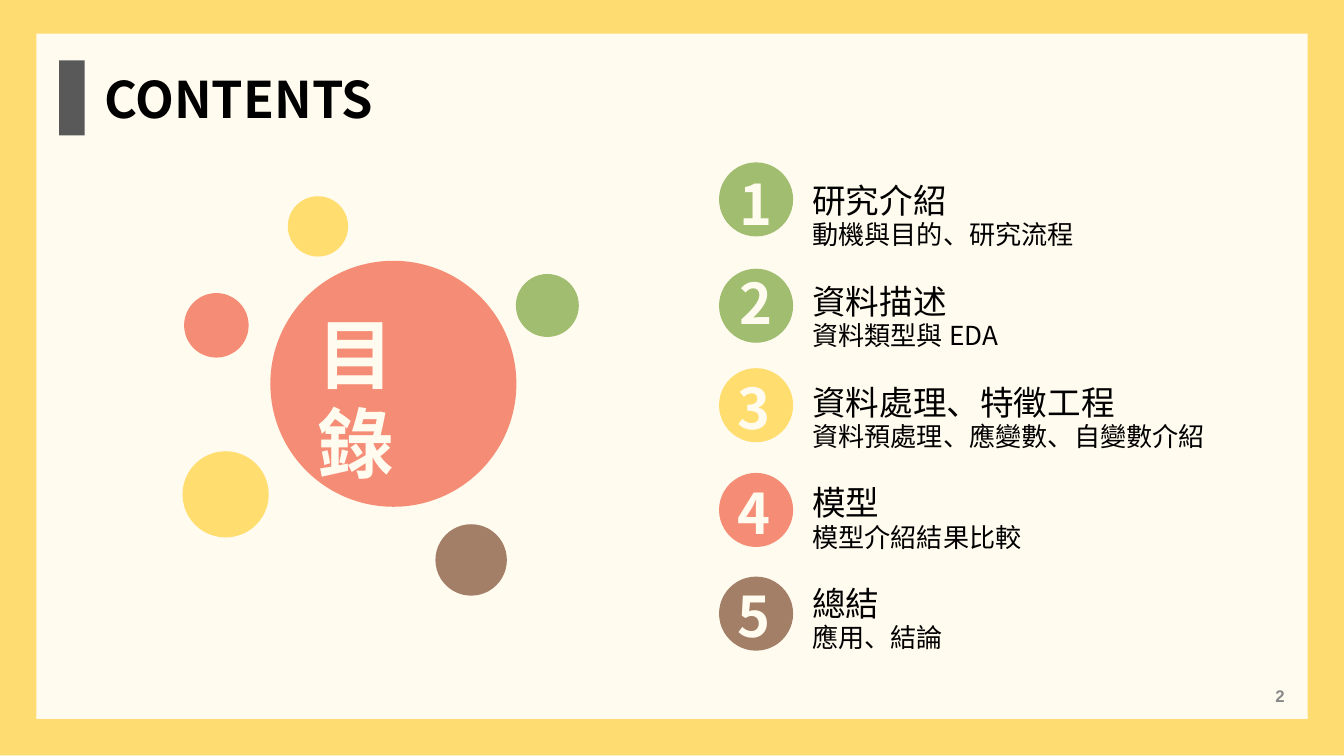
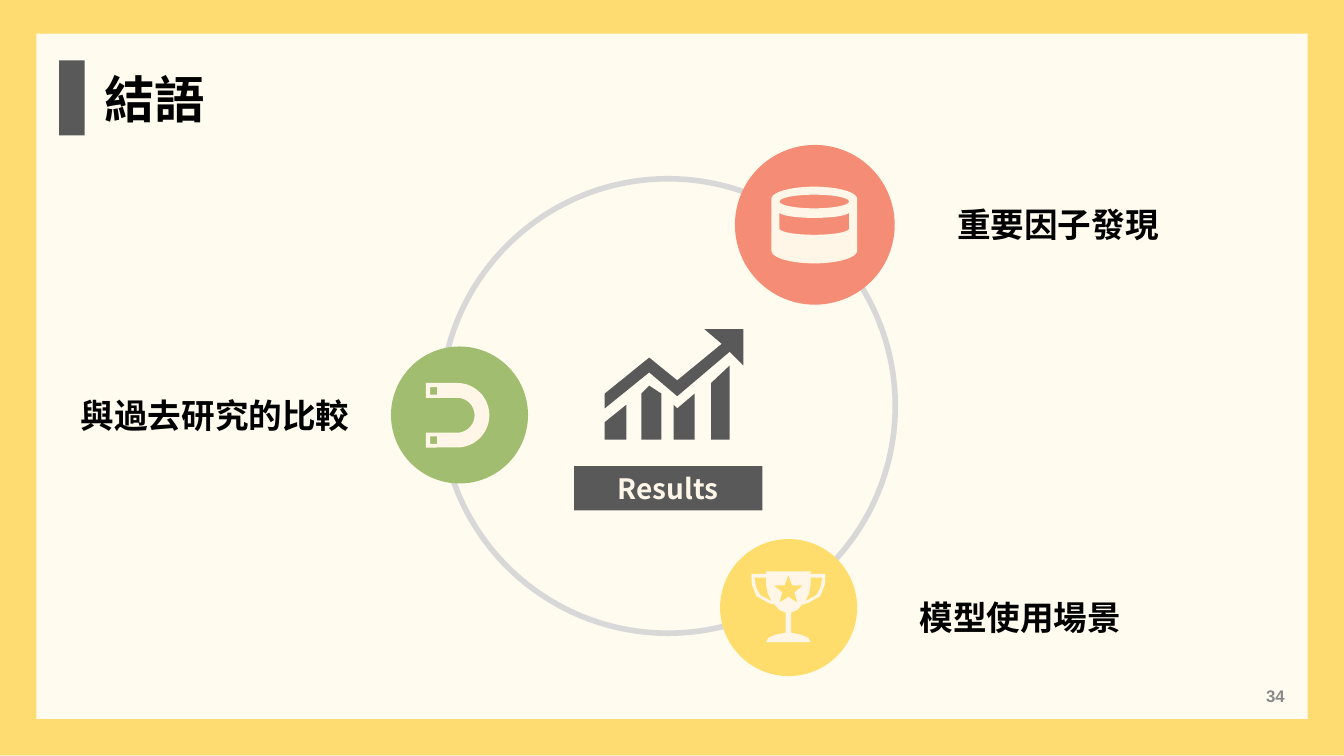
from math import cos, radians, sin

from lxml.etree import SubElement
from pptx import Presentation
from pptx.dml.color import RGBColor
from pptx.enum.shapes import MSO_SHAPE
from pptx.enum.text import MSO_ANCHOR, MSO_AUTO_SIZE, PP_ALIGN
from pptx.oxml.ns import qn
from pptx.util import Cm, Pt

CREAM, PALE, DARK, BLACK = "FFFBEF", "FFF6E7", "595959", "000000"
GREEN, YELLOW, RED, BROWN = "A1BD70", "FFDE6F", "F58D76", "A37F67"
SANS = "Noto Sans CJK SC"


def color(code):
    return RGBColor.from_string(code)


def assign(target, values):
    for name, value in values.items():
        setattr(target, name, value)


def arc(x, y, wide, high, start, end):
    steps = 24
    turns = [radians(start + (end - start) * i / steps) for i in range(steps + 1)]
    return [(x + wide * cos(t), y + high * sin(t)) for t in turns]


def box(x, y, wide, high):
    return [(x, y), (x + wide, y), (x + wide, y + high), (x, y + high)]


def star(x, y, outer, inner):
    rays = [(inner if i % 2 else outer, radians(36 * i - 90)) for i in range(10)]
    return [(x + r * cos(t), y + r * sin(t)) for r, t in rays]


def mirror(points, axis):
    return [(2 * axis - x, y) for x, y in reversed(points)]


class Deck:
    frame = {
        "word_wrap": True, "auto_size": MSO_AUTO_SIZE.NONE,
        "margin_left": Cm(0.19), "margin_right": Cm(0.19),
        "margin_top": Cm(0.1), "margin_bottom": Cm(0.1),
    }

    def __init__(self):
        self.show = Presentation()
        assign(self.show, {"slide_width": Cm(25.4), "slide_height": Cm(14.29)})
        fill = self.show.slide_master.background.fill
        fill.solid()
        fill.fore_color.rgb = color(CREAM)

    def start(self, layout, title, width):
        self.slide = self.show.slides.add_slide(self.show.slide_layouts[layout])
        self.shape(MSO_SHAPE.RECTANGLE, (1.12, 1.14, 0.48, 1.42), DARK)
        self.place(self.slide.shapes.title, (1.78, 1.19, width, 1.35))
        self.letter(self.slide.shapes.title, [(title, 27, {})], bold=True)

    def finish(self, number):
        self.label((18.75, 12.78, 5.72, 0.76), number, 9, "898989", True,
                   PP_ALIGN.RIGHT, MSO_ANCHOR.MIDDLE, "Arial")
        rim = self.shape(MSO_SHAPE.FRAME, (0, -0.05, 25.4, 14.33), "FFC000")
        rim.adjustments[0] = 0.048
        tint = rim._element.spPr.find(".//" + qn("a:srgbClr"))
        SubElement(tint, qn("a:alpha"), val="52000")

    def place(self, item, area):
        names = ("left", "top", "width", "height")
        assign(item, dict(zip(names, map(Cm, area))))

    def paint(self, item, fill):
        item.shadow.inherit = False
        item.fill.solid()
        item.fill.fore_color.rgb = color(fill)
        item.line.fill.background()
        return item

    def shape(self, kind, area, fill):
        item = self.slide.shapes.add_shape(kind, *map(Cm, area))
        return self.paint(item, fill)

    def disc(self, x, y, size, fill):
        return self.shape(MSO_SHAPE.OVAL, (x, y, size, size), fill)

    def ring(self, x, y, size, line):
        item = self.disc(x, y, size, CREAM)
        item.fill.background()
        item.line.color.rgb = color(line)
        item.line.width = Pt(3)

    def draw(self, fill, *loops):
        outlines = [[(Cm(x), Cm(y)) for x, y in loop] for loop in loops]
        pen = self.slide.shapes.build_freeform(*outlines[0][0])
        pen.add_line_segments(outlines[0][1:], close=True)
        for outline in outlines[1:]:
            pen.move_to(*outline[0])
            pen.add_line_segments(outline[1:], close=True)
        self.paint(pen.convert_to_shape(), fill)

    def letter(self, item, rows, ink=BLACK, bold=False, align=PP_ALIGN.LEFT,
               anchor=MSO_ANCHOR.TOP, face=SANS):
        body = item.text_frame
        assign(body, {**self.frame, "vertical_anchor": anchor})
        for i, (words, size, gaps) in enumerate(rows):
            para = body.add_paragraph() if i else body.paragraphs[0]
            assign(para, {"alignment": align, "space_before": Pt(0), **gaps})
            run = para.add_run()
            run.text = words
            assign(run.font, {"size": Pt(size), "bold": bold, "name": face})
            run.font.color.rgb = color(ink)
            SubElement(run._r.get_or_add_rPr(), qn("a:ea"), typeface=face)

    def label(self, area, words, size, *style, gaps=None):
        item = self.slide.shapes.add_textbox(*map(Cm, area))
        self.letter(item, [(words, size, gaps or {})], *style)

    def agenda(self, area, pairs):
        item = self.slide.placeholders[1]
        self.place(item, area)
        rows = []
        for head, note in pairs:
            rows.append((head, 18, {"line_spacing": Pt(22)}))
            rows.append((note, 14, {"line_spacing": Pt(16), "space_after": Pt(16)}))
        self.letter(item, rows)
        for para in item.text_frame.paragraphs:
            props = para._p.get_or_add_pPr()
            props.set("marL", "0")
            props.set("indent", "0")
            SubElement(props, qn("a:buNone"))


def contents(deck):
    deck.start(1, "CONTENTS", 5.77)
    deck.agenda((15.16, 3.29, 7.98, 9.6), [
        ("研究介紹", "動機與目的、研究流程"),
        ("資料描述", "資料類型與 EDA"),
        ("資料處理、特徵工程", "資料預處理、應變數、自變數介紹"),
        ("模型", "模型介紹結果比較"),
        ("總結", "應用、結論"),
    ])
    badges = [
        (3.07, 13.79, 3.1, GREEN), (5.08, 13.79, 4.98, GREEN),
        (6.96, 13.74, 6.96, YELLOW), (8.94, 13.74, 8.94, RED),
        (10.9, 13.74, 10.9, BROWN),
    ]
    for i, (top, x, y, fill) in enumerate(badges, 1):
        deck.disc(13.59, top, 1.4, fill)
        deck.label((x, y, 1.04, 1.47), str(i), 30, CREAM, True)
    deck.disc(5.11, 4.93, 4.65, RED)
    deck.label((5.82, 5.74, 3.05, 3.6), "目錄", 41, CREAM, True,
               gaps={"line_spacing": Pt(48)})
    for dot in [
        (3.45, 8.53, 1.63, YELLOW), (3.48, 5.54, 1.22, RED),
        (5.44, 3.71, 1.14, YELLOW), (9.75, 5.18, 1.19, GREEN),
        (8.23, 9.91, 1.35, BROWN),
    ]:
        deck.disc(*dot)
    deck.finish("2")


def coin(deck):
    x = 15.39
    deck.draw(
        PALE,
        arc(x, 3.76, 0.81, 0.23, 180, 360) + arc(x, 4.74, 0.81, 0.24, 0, 180),
        arc(x, 3.81, 0.66, 0.13, 0, 360),
        arc(x, 4.01, 0.66, 0.11, 180, 0) + arc(x, 4.32, 0.66, 0.12, 0, 180),
    )


def magnet(deck):
    x, y = 8.64, 7.85
    outer = arc(x, y, 0.61, 0.61, -90, 90)
    inner = arc(x, y, 0.33, 0.33, 90, -90)
    deck.draw(
        PALE,
        [(8.05, 7.24), *outer, (8.05, 8.46), (8.05, 8.18), *inner, (8.05, 7.52)],
        box(8.13, 7.32, 0.13, 0.14), box(8.13, 8.25, 0.13, 0.14),
    )


def trophy(deck):
    axis = 14.9
    side = [
        (15.32, 10.8), (15.32, 10.85), (15.6, 10.85), (15.59, 11.05),
        (15.5, 11.27), (15.27, 11.4), (15.16, 11.43), (15.07, 11.53),
        (14.95, 11.58), (14.95, 11.96), (15.15, 12), (15.28, 12.06),
        (15.32, 12.14),
    ]
    grip = [
        (15.32, 10.92), (15.54, 10.92), (15.51, 11.1), (15.43, 11.25),
        (15.24, 11.35), (15.21, 11.38), (15.29, 11.22), (15.32, 11.05),
    ]
    deck.draw(PALE, side + mirror(side, axis), grip, mirror(grip, axis),
              star(axis, 11.16, 0.29, 0.12))


def trend(deck):
    foot = 8.31
    bars = [
        [(11.43, 7.98), (11.84, 7.65)],
        [(12.12, 7.44), (12.27, 7.29), (12.5, 7.44)],
        [(12.73, 7.65), (12.8, 7.72), (13.13, 7.44)],
        [(13.44, 7.24), (13.79, 6.91)],
    ]
    deck.draw(DARK, *[[(b[0][0], foot), *b, (b[-1][0], foot)] for b in bars])
    deck.draw(DARK, [
        (14.05, 6.22), (13.31, 6.22), (13.64, 6.5), (12.8, 7.19),
        (12.27, 6.76), (11.43, 7.44), (11.43, 7.72), (12.27, 7.04),
        (12.8, 7.49), (13.79, 6.65), (14.05, 6.91),
    ])


def closing(deck):
    deck.start(5, "結語", 11.33)
    deck.ring(8.33, 3.38, 8.59, "D8D8D8")
    deck.disc(7.39, 6.55, 2.59, GREEN)
    deck.disc(13.89, 2.74, 3.02, RED)
    deck.disc(13.61, 10.19, 2.59, "FFDD6C")
    for icon in (coin, magnet, trophy, trend):
        icon(deck)
    for x, y, words in [
        (0.99, 7.37, "與過去研究的比較"),
        (16.92, 3.76, "重要因子發現"),
        (16.21, 11.18, "模型使用場景"),
    ]:
        deck.label((x, y, 6.15, 0.97), words, 18, BLACK, True, PP_ALIGN.CENTER)
    sign = deck.shape(MSO_SHAPE.RECTANGLE, (10.85, 8.81, 3.56, 0.84), DARK)
    deck.letter(sign, [("Results", 15, {})], PALE, True, PP_ALIGN.CENTER)
    deck.finish("34")


def main():
    deck = Deck()
    contents(deck)
    closing(deck)
    deck.show.save("out.pptx")


if __name__ == "__main__":
    main()
